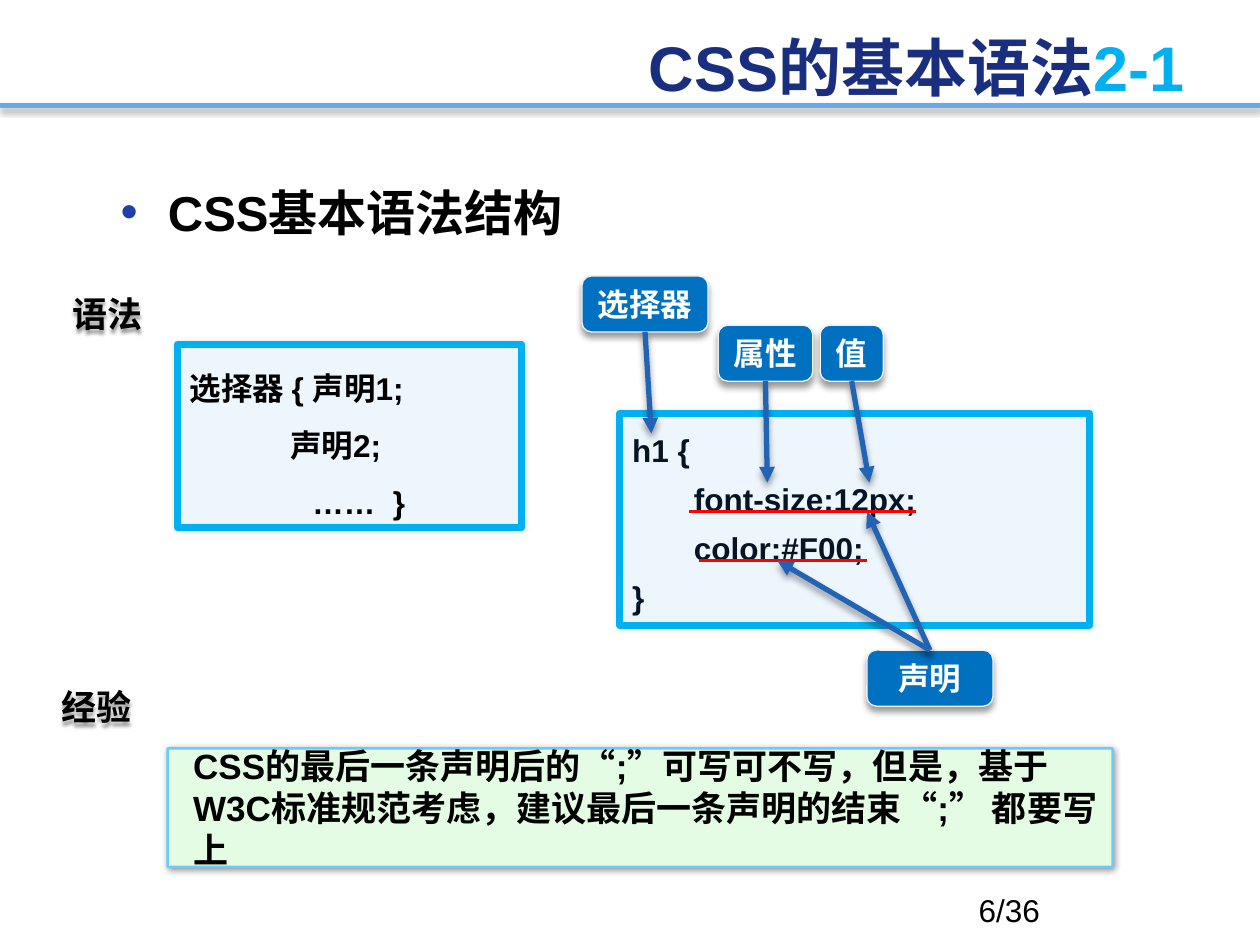
"""Build a slide that explains the basic syntax of CSS."""
from lxml import etree
from pptx import Presentation
from pptx.dml.color import RGBColor
from pptx.enum.shapes import MSO_CONNECTOR, MSO_SHAPE
from pptx.enum.text import MSO_ANCHOR, PP_ALIGN
from pptx.oxml.ns import qn
from pptx.util import Pt

STRAIGHT = MSO_CONNECTOR.STRAIGHT
PANEL, CALLOUT = MSO_SHAPE.ROUNDED_RECTANGLE, MSO_SHAPE.ROUNDED_RECTANGULAR_CALLOUT
TOP, MIDDLE, BOTTOM = MSO_ANCHOR.TOP, MSO_ANCHOR.MIDDLE, MSO_ANCHOR.BOTTOM
LEFT, CENTER, RIGHT = PP_ALIGN.LEFT, PP_ALIGN.CENTER, PP_ALIGN.RIGHT
ARIAL, NOTO = "Arial", "Noto Sans CJK SC"
rgb = RGBColor.from_string


def write(box, lines, size, color="000000", bold=True, align=LEFT, anchor=TOP,
          spacing=1, wrap=True, font=ARIAL):
    frame = box.text_frame
    frame.word_wrap = wrap
    frame.vertical_anchor = anchor
    frame.text = "\n".join(lines)
    for para in frame.paragraphs:
        para.alignment = align
        para.line_spacing = Pt(round(size * 1.2 * spacing, 1))
        for span in para.runs:
            span.font.name = font
            span.font.size = Pt(size)
            span.font.bold = bold
            span.font.color.rgb = rgb(color)
            east_asian = etree.Element(qn("a:ea"), typeface=NOTO)
            span.font._element.find(qn("a:latin")).addnext(east_asian)


def set_shadow(item, alpha=0, blur=0, distance=0):
    properties = item._element.spPr
    for old in properties.findall(qn("a:effectLst")):
        properties.remove(old)
    effects = etree.SubElement(properties, qn("a:effectLst"))
    if alpha:
        outer = etree.SubElement(effects, qn("a:outerShdw"), blurRad=str(Pt(blur)),
                                 dist=str(Pt(distance)), dir="5400000", rotWithShape="0")
        color = etree.SubElement(outer, qn("a:srgbClr"), val="000000")
        etree.SubElement(color, qn("a:alpha"), val=str(alpha * 1000))


deck = Presentation()
deck.slide_width, deck.slide_height = Pt(720), Pt(540)
page = deck.slides.add_slide(deck.slide_layouts[6])
shapes = page.shapes

rule = shapes.add_connector(STRAIGHT, 0, Pt(60.5), Pt(720), Pt(60.5))
rule.line.color.rgb = rgb("65AAE9")
rule.line.width = Pt(3)
set_shadow(rule, 35, 3.1, 1.8)

title = shapes.add_textbox(Pt(234.7), Pt(9.4), Pt(449.3), Pt(56.9))
write(title, ["CSS的基本语法"], 36, "1A2E7F", align=RIGHT, anchor=MIDDLE)
number = title.text_frame.paragraphs[0].add_run()
number.text = "2-1"
number.font.name = ARIAL
number.font.size = Pt(36)
number.font.bold = True
number.font.color.rgb = rgb("00B0F0")

heading = shapes.add_textbox(Pt(61.9), Pt(100.8), Pt(601.9), Pt(51.1))
write(heading, ["CSS基本语法结构"], 28)
bullet_props = heading.text_frame.paragraphs[0]._p.get_or_add_pPr()
bullet_props.set("marL", str(Pt(27)))
bullet_props.set("indent", str(Pt(-27)))
bullet_color = etree.SubElement(bullet_props, qn("a:buClr"))
etree.SubElement(bullet_color, qn("a:srgbClr"), val="233DA9")
etree.SubElement(bullet_props, qn("a:buFont"), typeface=ARIAL)
etree.SubElement(bullet_props, qn("a:buChar"), char="•")

page_number = shapes.add_textbox(Pt(552.2), Pt(505.4), Pt(167.8), Pt(28.8))
write(page_number, ["6/36"], 18, bold=False)

for label, left, top in (("语法", 34.6, 163.4), ("经验", 28.1, 388.1)):
    box = shapes.add_textbox(Pt(left), Pt(top), Pt(55.4), Pt(31.7))
    write(box, [label], 20, anchor=MIDDLE, wrap=False, font=NOTO)
    set_shadow(box, 40, 2, 2)

grammar_lines = ["选择器 { 声明1;", "              声明2;", "              ……  }"]
code_lines = ["h1 {", "\tfont-size:12px;", "\tcolor:#F00;", "}"]
note_lines = ["CSS的最后一条声明后的“;”可写可不写，但是，基于W3C标准规范考虑，"
              "建议最后一条声明的结束“;” 都要写上"]
code_style = {"fill": "EDF5FD", "line": "00B0F0", "width": 4, "shadow": (10, 3, 0)}
note_style = {"fill": "E4FCE4", "line": "66CCFF", "width": 1.5, "shadow": (40, 4, 1)}
callout_style = {"fill": "0070C0", "line": "F2F2F2", "width": 0.75, "shadow": (40, 4, 3)}
callout_text = {"size": 18, "color": "FFFFFF", "align": CENTER, "anchor": BOTTOM,
                "wrap": False}
callout_adjust = (-0.5, 0, 0.17)
boxes = {}
for name, kind, bounds, adjust, style, lines, text in (
    ("grammar", PANEL, (101.5, 196.6, 196.6, 105.1), (0,), code_style, grammar_lines,
     {"size": 18, "spacing": 1.5}),
    ("code", PANEL, (354.2, 236.2, 268.6, 121), (0,), code_style, code_lines,
     {"size": 18, "color": "071424", "spacing": 1.3}),
    ("note", PANEL, (95.8, 427.7, 540, 67.7), (0.01,), note_style, note_lines,
     {"size": 20, "anchor": MIDDLE}),
    ("selector", CALLOUT, (332.6, 157.7, 72, 32), callout_adjust, callout_style,
     ["选择器"], callout_text),
    ("property", CALLOUT, (410.4, 185.8, 54, 32), callout_adjust, callout_style,
     ["属性"], callout_text),
    ("value", CALLOUT, (468.7, 185.8, 36, 32), callout_adjust, callout_style,
     ["值"], callout_text),
    ("declaration", CALLOUT, (495.4, 371.5, 72, 32), callout_adjust, callout_style,
     ["声明"], callout_text),
):
    box = shapes.add_shape(kind, *map(Pt, bounds))
    for index, amount in enumerate(adjust):
        box.adjustments[index] = amount
    box.fill.solid()
    box.fill.fore_color.rgb = rgb(style["fill"])
    box.line.color.rgb = rgb(style["line"])
    box.line.width = Pt(style["width"])
    set_shadow(box, *style["shadow"])
    write(box, lines, **text)
    boxes[name] = box

boxes["note"].text_frame.margin_left = Pt(14.4)
for para in boxes["code"].text_frame.paragraphs:
    tabs = etree.SubElement(para._p.get_or_add_pPr(), qn("a:tabLst"))
    etree.SubElement(tabs, qn("a:tab"), pos=str(Pt(35.3)), algn="l")

for left, right, top in ((393.8, 523.4, 292.3), (399.6, 495.4, 320.4)):
    underline = shapes.add_connector(STRAIGHT, Pt(left), Pt(top), Pt(right), Pt(top))
    underline.line.color.rgb = rgb("FF0000")
    underline.line.width = Pt(2)
    set_shadow(underline)
    if top == 292.3:
        underline.end_x = Pt(523.4)

for name, side, end_x, end_y in (
    ("selector", 2, 372.2, 247.7),
    ("property", 2, 438.5, 275.8),
    ("value", 2, 496.8, 275.8),
    ("declaration", 0, 495.4, 292.3),
    ("declaration", 0, 444.2, 320.4),
):
    arrow = shapes.add_connector(STRAIGHT, 0, 0, Pt(end_x), Pt(end_y))
    arrow.begin_connect(boxes[name], side)
    arrow.line.color.rgb = rgb("2163B4")
    arrow.line.width = Pt(3)
    etree.SubElement(arrow.line._get_or_add_ln(), qn("a:tailEnd"), type="triangle")
    set_shadow(arrow, 40, 4, 3)

deck.save("out.pptx")
